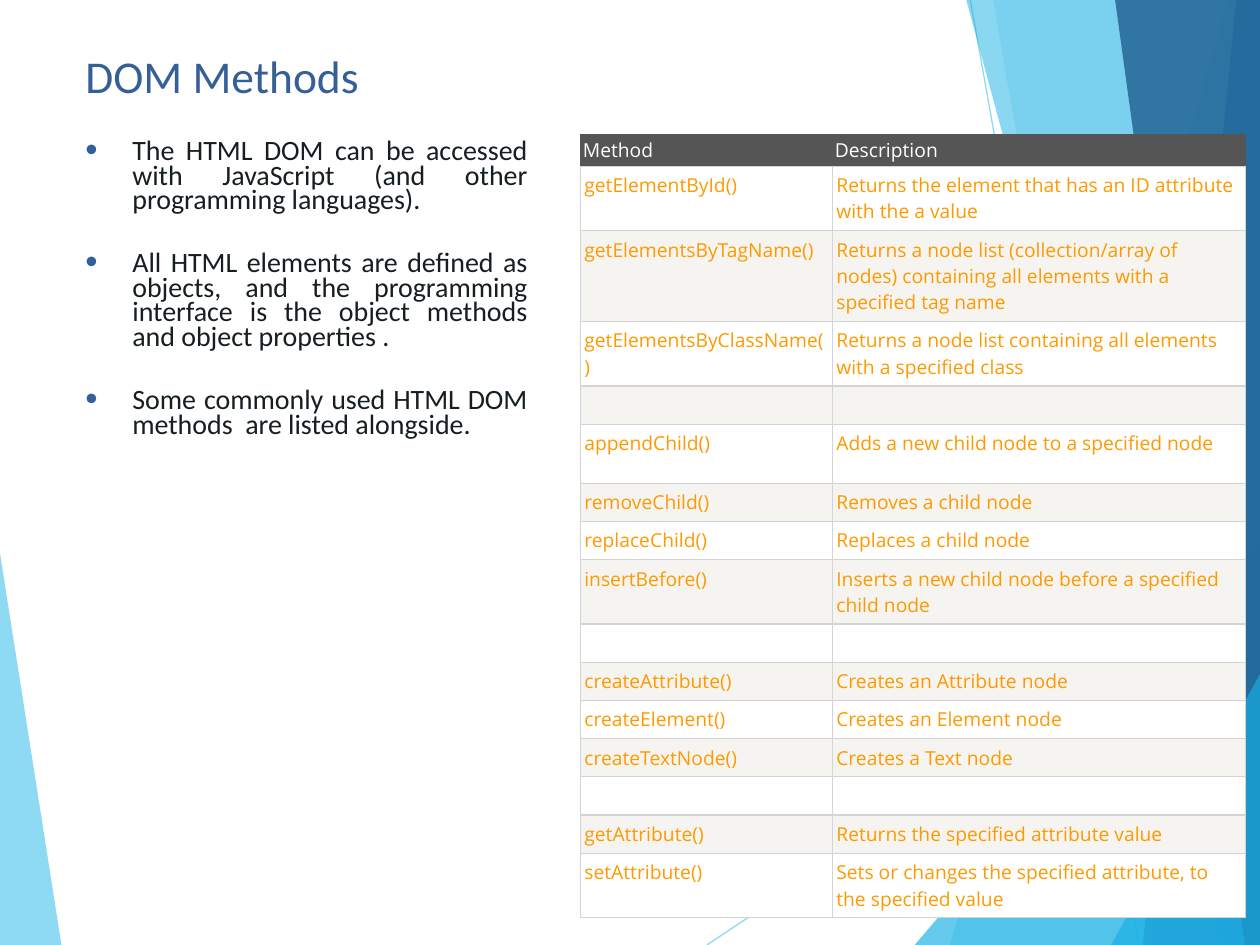
from lxml.etree import SubElement
from pptx import Presentation
from pptx.dml.color import RGBColor as RGB
from pptx.enum.shapes import MSO_CONNECTOR as LINK
from pptx.enum.text import MSO_ANCHOR as ANCHOR, PP_ALIGN as ALIGN
from pptx.oxml.ns import qn
from pptx.util import Cm, Pt

WHITE = RGB(0xFF, 0xFF, 0xFF)
BLUE = RGB(0x35, 0x5F, 0x99)
INK = RGB(0x16, 0x1E, 0x22)
ORANGE = RGB(0xFF, 0x99, 0x00)
HEAD = RGB(0x55, 0x55, 0x55)
BAND = RGB(0xF6, 0xF4, 0xF0)
RULE = RGB(0xD4, 0xD4, 0xD4)
SKY = RGB(0x5F, 0xCB, 0xEF)
CYAN = RGB(0x17, 0xB0, 0xE4)
STEEL = RGB(0x2E, 0x83, 0xC3)
NAVY = RGB(0x22, 0x62, 0x92)
W, H = 25.4, 19.05


def write(par, text, size=11, font="Open Sans", color=ORANGE, align=ALIGN.LEFT):
    par.alignment = align
    if not text:
        SubElement(par._p, qn("a:endParaRPr"), sz=str(size * 100))
        return
    run = par.add_run()
    run.text = text
    run.font.size = Pt(size)
    run.font.name = font
    run.font.color.rgb = color


def fade(node, pct):
    """Set the opacity of the first colour inside node, in percent."""
    color = next(node.iter(qn("a:srgbClr")))
    SubElement(color, qn("a:alpha"), val=str(pct * 1000))


prs = Presentation()
prs.slide_width, prs.slide_height = Cm(W), Cm(H)
slide = prs.slides.add_slide(prs.slide_layouts[6])
shapes = slide.shapes

# Background facets: slanted panels run from the top to the right edge
lines = [((14.25, H), (W, 11.61)), ((19.56, 0), (22.96, H))]
facets = [
    (SKY, 70, [(0, 11.15), (1.24, H), (0, H)]),
    (SKY, 36, [(24.77, 0), (19.15, H), (W, H), (W, 0)]),
    (SKY, 20, [(20.02, 0), (23.34, H), (W, H), (W, 0)]),
    (CYAN, 66, [(18.44, H), (W, 10.9), (W, H)]),
    (CYAN, 50, [(19.48, 0), (24.64, H), (W, H), (W, 0)]),
    (STEEL, 70, [(24.92, 0), (23.04, H), (W, H), (W, 0)]),
    (NAVY, 82, [(22.48, 0), (25.1, H), (W, H), (W, 0)]),
    (CYAN, 66, [(22.4, H), (W, 13.59), (W, H)]),
]
for start, end in lines:
    link = shapes.add_connector(LINK.STRAIGHT, *map(Cm, start + end))
    link.line.color.rgb = SKY
    link.line.width = Pt(0.75)
    fade(link._element, 70)
    SubElement(link._element.spPr, qn("a:effectLst"))
for color, pct, points in facets:
    first, *rest = [(Cm(x), Cm(y)) for x, y in points]
    pen = shapes.build_freeform(*first)
    pen.add_line_segments(rest, close=True)
    facet = pen.convert_to_shape()
    facet.shadow.inherit = False
    facet.fill.solid()
    facet.fill.fore_color.rgb = color
    fade(facet._element, pct)
    facet.line.fill.background()

# Title
title = shapes.add_textbox(Cm(1.47), Cm(0.84), Cm(23.5), Cm(1.9)).text_frame
title.word_wrap = True
write(title.paragraphs[0], "DOM Methods", size=26, font="Calibri", color=BLUE)

# Bullets
notes = [
    "The HTML DOM can be accessed with JavaScript (and other programming languages).",
    "All HTML elements are defined as objects, and the programming interface "
    "is the object methods and object properties .",
    "Some commonly used HTML DOM methods  are listed alongside.",
]
body = shapes.add_textbox(Cm(1.47), Cm(2.74), Cm(9.42), Cm(14.8)).text_frame
body.word_wrap = True
for i, note in enumerate(notes):
    par = body.paragraphs[0] if i == 0 else body.add_paragraph()
    par.line_spacing = Pt(14)
    par.space_before = Pt(22 if i else 4)
    write(par, note, size=16, font="Calibri", color=INK, align=ALIGN.JUSTIFY)
    props = par._p.get_or_add_pPr()
    props.set("marL", str(Cm(0.95)))
    props.set("indent", str(Cm(-0.95)))
    tint = SubElement(props, qn("a:buClr"))
    SubElement(tint, qn("a:srgbClr"), val=str(BLUE))
    SubElement(props, qn("a:buSzPct"), val="125000")
    SubElement(props, qn("a:buFont"), typeface="Arial")
    SubElement(props, qn("a:buChar"), char="•")

# Method table: name, description, row height
rows = [
    ("Method", "Description", 0.63),
    ("getElementById()", "Returns the element that has an ID attribute with the a value", 1.3),
    ("getElementsByTagName()", "Returns a node list (collection/array of nodes) "
     "containing all elements with a specified tag name", 1.83),
    ("getElementsByClassName()",
     "Returns a node list containing all elements with a specified class", 1.3),
    ("", "", 0.77),
    ("appendChild()", "Adds a new child node to a specified node", 1.19),
    ("removeChild()", "Removes a child node", 0.77),
    ("replaceChild()", "Replaces a child node", 0.77),
    ("insertBefore()", "Inserts a new child node before a specified child node", 1.3),
    ("", "", 0.77),
    ("createAttribute()", "Creates an Attribute node", 0.77),
    ("createElement()", "Creates an Element node", 0.77),
    ("createTextNode()", "Creates a Text node", 0.77),
    ("", "", 0.77),
    ("getAttribute()", "Returns the specified attribute value", 0.77),
    ("setAttribute()", "Sets or changes the specified attribute, to the specified value", 1.3),
]
tall = sum(row[2] for row in rows)
table = shapes.add_table(len(rows), 2, Cm(11.7), Cm(2.72), Cm(13.41), Cm(tall)).table
table.first_row = table.horz_banding = False
table.columns[0].width, table.columns[1].width = Cm(5.08), Cm(8.33)
for i, (name, about, high) in enumerate(rows):
    table.rows[i].height = Cm(high)
    top = i == 0
    for j, text in enumerate((name, about)):
        cell = table.cell(i, j)
        cell.vertical_anchor = ANCHOR.TOP
        cell.margin_left = cell.margin_right = Cm(0.05 if top else 0.08)
        cell.margin_top = cell.margin_bottom = Cm(0.05 if top else 0.12)
        write(cell.text_frame.paragraphs[0], text, color=WHITE if top else ORANGE)
        props = cell._tc.get_or_add_tcPr()
        for side in ("lnL", "lnR", "lnT", "lnB"):
            edge = SubElement(props, qn("a:" + side), w=str(Pt(0.75)))
            paint = SubElement(edge, qn("a:solidFill"))
            shade = HEAD if top and side != "lnB" else RULE
            SubElement(paint, qn("a:srgbClr"), val=str(shade))
        cell.fill.solid()
        cell.fill.fore_color.rgb = HEAD if top else WHITE if i % 2 else BAND

prs.save("out.pptx")
